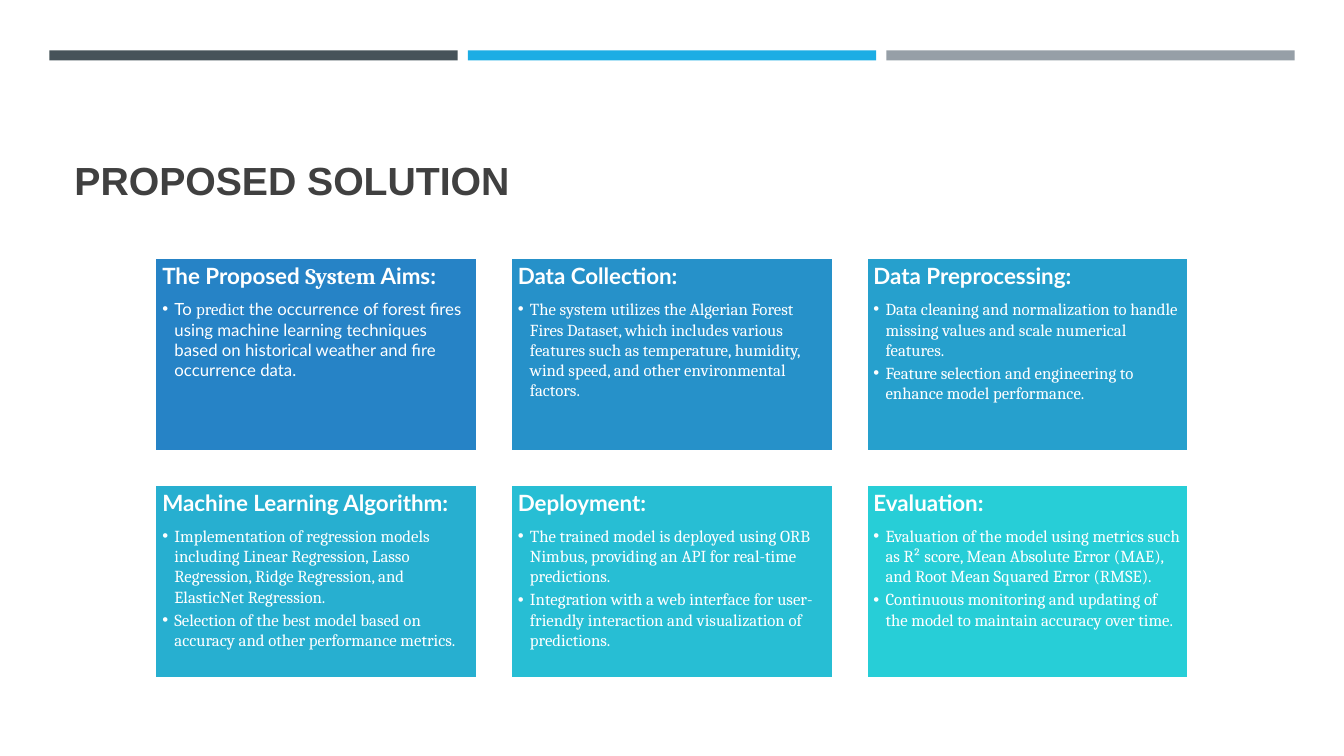
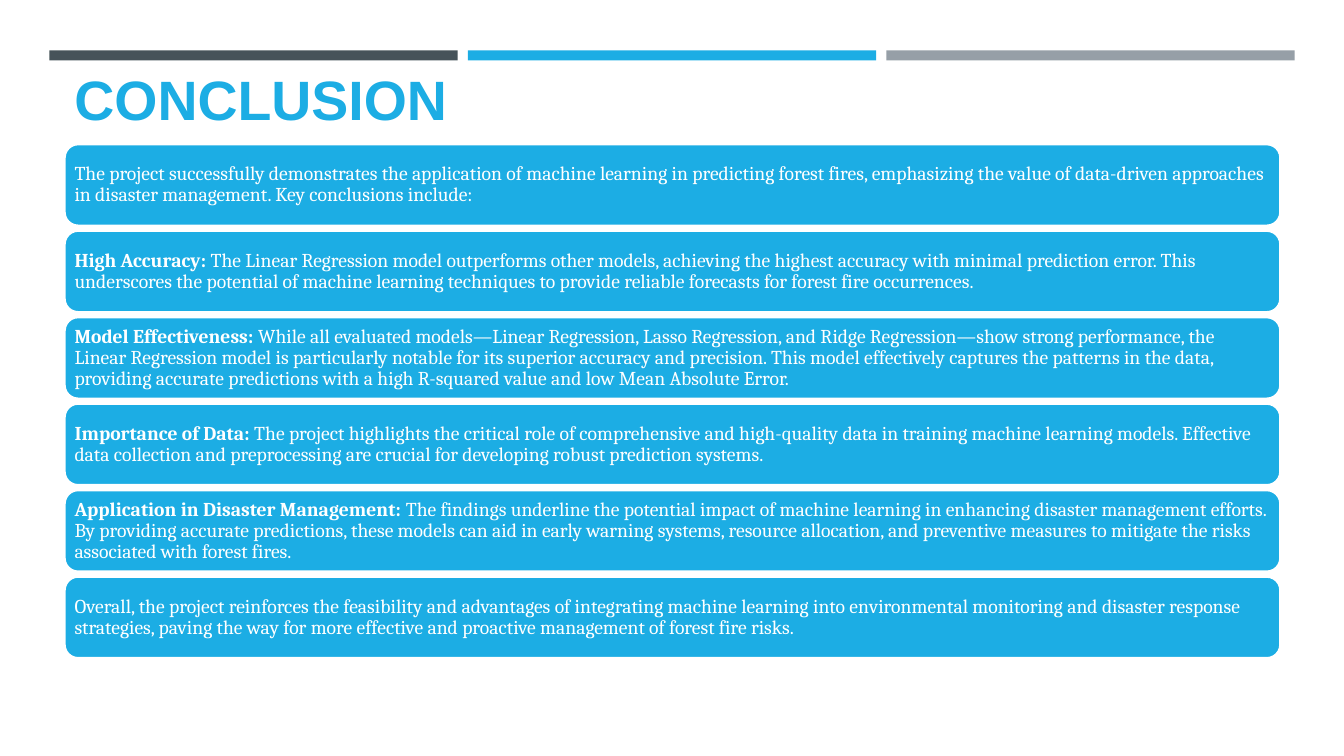
from dataclasses import dataclass
from lxml import etree
from pptx import Presentation
from pptx.dml.color import RGBColor
from pptx.enum.shapes import MSO_SHAPE
from pptx.enum.text import MSO_ANCHOR, PP_ALIGN
from pptx.oxml.ns import qn
from pptx.util import Inches, Pt

RECT = MSO_SHAPE.RECTANGLE
ROUND = MSO_SHAPE.ROUNDED_RECTANGLE
TOP, MIDDLE, BOTTOM = MSO_ANCHOR.TOP, MSO_ANCHOR.MIDDLE, MSO_ANCHOR.BOTTOM
LEFT = PP_ALIGN.LEFT


@dataclass(frozen=True)
class Theme:
    """Colours, fonts and type sizes of the deck."""
    white: str = "FFFFFF"
    dark: str = "404040"
    blue: str = "1CADE4"
    bands: tuple = ("465359", "1CADE4", "969FA7")
    cards: tuple = ("2683C6", "2691C9", "26A0CD", "27AFD0", "27BED4", "27CED7")
    display: str = "Arial"
    sans: str = "Lato"
    serif: str = "Cambria"
    title: float = 28
    large: float = 39.6
    head: float = 16
    body: float = 12
    row: float = 14
    edge: float = 1.75


THEME = Theme()
SANS, SERIF = THEME.sans, THEME.serif

CARDS = [
    ([("The Proposed ", SANS), ("System", SERIF), (" Aims:", SANS)],
     [[("To ", SANS), ("predict", SERIF),
       (" the occurrence of forest fires using machine learning techniques "
        "based on historical weather and fire occurrence data.", SANS)]]),
    ([("Data Collection:", SANS)],
     [[("The system utilizes the Algerian Forest Fires Dataset, which includes "
        "various features such as temperature, humidity, wind speed, and other "
        "environmental factors.", SERIF)]]),
    ([("Data Preprocessing:", SANS)],
     [[("Data cleaning and normalization to handle missing values and scale "
        "numerical features.", SERIF)],
      [("Feature selection and engineering to enhance model performance.", SERIF)]]),
    ([("Machine Learning Algorithm:", SANS)],
     [[("Implementation of regression models including Linear Regression, Lasso "
        "Regression, Ridge Regression, and ElasticNet Regression.", SERIF)],
      [("Selection of the best model based on accuracy and other performance "
        "metrics.", SERIF)]]),
    ([("Deployment:", SANS)],
     [[("The trained model is deployed using ORB Nimbus, providing an API for "
        "real-time predictions.", SERIF)],
      [("Integration with a web interface for user-friendly interaction and "
        "visualization of predictions.", SERIF)]]),
    ([("Evaluation:", SANS)],
     [[("Evaluation of the model using metrics such as R² score, Mean Absolute "
        "Error (MAE), and Root Mean Squared Error (RMSE).", SERIF)],
      [("Continuous monitoring and updating of the model to maintain accuracy "
        "over time.", SERIF)]]),
]

ROWS = [
    ("", "The project successfully demonstrates the application of machine "
     "learning in predicting forest fires, emphasizing the value of data-driven "
     "approaches in disaster management. Key conclusions include:"),
    ("High Accuracy:", " The Linear Regression model outperforms other models, "
     "achieving the highest accuracy with minimal prediction error. This "
     "underscores the potential of machine learning techniques to provide "
     "reliable forecasts for forest fire occurrences."),
    ("Model Effectiveness:", " While all evaluated models—Linear Regression, "
     "Lasso Regression, and Ridge Regression—show strong performance, the Linear "
     "Regression model is particularly notable for its superior accuracy and "
     "precision. This model effectively captures the patterns in the data, "
     "providing accurate predictions with a high R-squared value and low Mean "
     "Absolute Error."),
    ("Importance of Data:", " The project highlights the critical role of "
     "comprehensive and high-quality data in training machine learning models. "
     "Effective data collection and preprocessing are crucial for developing "
     "robust prediction systems."),
    ("Application in Disaster Management:", " The findings underline the "
     "potential impact of machine learning in enhancing disaster management "
     "efforts. By providing accurate predictions, these models can aid in early "
     "warning systems, resource allocation, and preventive measures to mitigate "
     "the risks associated with forest fires."),
    ("", "Overall, the project reinforces the feasibility and advantages of "
     "integrating machine learning into environmental monitoring and disaster "
     "response strategies, paving the way for more effective and proactive "
     "management of forest fire risks."),
]


def style(run, font, size, color, bold=False):
    """Format one run."""
    run.font.name = font
    run.font.size = Pt(size)
    run.font.bold = bold
    run.font.color.rgb = RGBColor.from_string(color)


def write(para, parts, size, after=0, lines=1.0):
    """Fill a paragraph with white runs given as text, font and weight."""
    para.alignment = LEFT
    para.line_spacing = lines
    para.space_after = Pt(after)
    for text, font, bold in parts:
        run = para.add_run()
        run.text = text
        style(run, font, size, THEME.white, bold)


def bullet(para, indent):
    """Give a paragraph a hanging bullet."""
    props = para._p.get_or_add_pPr()
    props.set("marL", str(Inches(indent)))
    props.set("indent", str(-Inches(indent)))
    etree.SubElement(props, qn("a:buFont"), typeface="Arial")
    etree.SubElement(props, qn("a:buChar"), char="•")


def setup(frame, anchor, inset):
    """Set wrapping, anchor and margins of a text frame."""
    frame.word_wrap = True
    frame.vertical_anchor = anchor
    frame.margin_left = frame.margin_right = Inches(inset)
    frame.margin_top = frame.margin_bottom = Inches(inset)


def block(slide, kind, box, fill, edge=None):
    """Draw a filled shape, outlined if an edge colour is given."""
    shape = slide.shapes.add_shape(kind, *map(Inches, box))
    shape.shadow.inherit = False
    shape.fill.solid()
    shape.fill.fore_color.rgb = RGBColor.from_string(fill)
    if edge:
        shape.line.color.rgb = RGBColor.from_string(edge)
        shape.line.width = Pt(THEME.edge)
    else:
        shape.line.fill.background()
    return shape


def bands(slide, box):
    """Draw the coloured bands across the top."""
    left, top, width, height = box
    gap = 0.1
    count = len(THEME.bands)
    wide = (width - gap * (count - 1)) / count
    for i, fill in enumerate(THEME.bands):
        block(slide, RECT, (left + i * (wide + gap), top, wide, height), fill)


def title(slide, box, text, size, color):
    """Place the slide title at the bottom of its box."""
    frame = slide.shapes.add_textbox(*map(Inches, box)).text_frame
    setup(frame, BOTTOM, 0.05)
    frame.margin_left = frame.margin_right = Inches(0.1)
    frame.text = text
    style(frame.paragraphs[0].runs[0], THEME.display, size, color, True)


def card(slide, box, fill, head, points):
    """Draw one card with a heading and its bullets."""
    frame = block(slide, RECT, box, fill, THEME.white).text_frame
    setup(frame, TOP, 0.07)
    write(frame.paragraphs[0], [(*part, True) for part in head], THEME.head, 7, 0.9)
    for point in points:
        para = frame.add_paragraph()
        write(para, [(*part, False) for part in point], THEME.body, 2)
        bullet(para, 0.12)


def grid(slide, box, cols=3):
    """Lay the cards out in a grid with equal gaps."""
    left, top, width, height = box
    gap = 0.33
    rows = len(CARDS) // cols
    wide = (width - gap * (cols - 1)) / cols
    high = (height - gap * (rows - 1)) / rows
    for i, (fill, (head, points)) in enumerate(zip(THEME.cards, CARDS)):
        row, col = divmod(i, cols)
        place = (left + col * (wide + gap), top + row * (high + gap), wide, high)
        card(slide, place, fill, head, points)


def stack(slide, box):
    """Stack the conclusions as rounded rows with equal gaps."""
    left, top, width, height = box
    high = 0.81
    step = (height - high) / (len(ROWS) - 1)
    for i, (lead, text) in enumerate(ROWS):
        place = (left, top + i * step, width, high)
        frame = block(slide, ROUND, place, THEME.blue, THEME.white).text_frame
        setup(frame, MIDDLE, 0.06)
        parts = [(lead, SERIF, True)] if lead else []
        write(frame.paragraphs[0], parts + [(text, SERIF, False)], THEME.row, 0, 0.9)


def page(deck):
    """Add a blank slide with the shared bands."""
    slide = deck.slides.add_slide(deck.slide_layouts[6])
    bands(slide, (0.49, 0.5, 12.35, 0.1))
    return slide


def main():
    """Build and save the deck."""
    deck = Presentation()
    deck.slide_width, deck.slide_height = Inches(13.33), Inches(7.5)
    plan = page(deck)
    title(plan, (0.64, 0.77, 12.06, 1.3), "PROPOSED SOLUTION", THEME.title, THEME.dark)
    grid(plan, (1.54, 2.56, 10.25, 4.17))
    close = page(deck)
    title(close, (0.64, 0.77, 12.06, 0.58), "CONCLUSION", THEME.large, THEME.blue)
    stack(close, (0.64, 1.43, 12.06, 5.1))
    deck.save("out.pptx")


if __name__ == "__main__":
    main()
